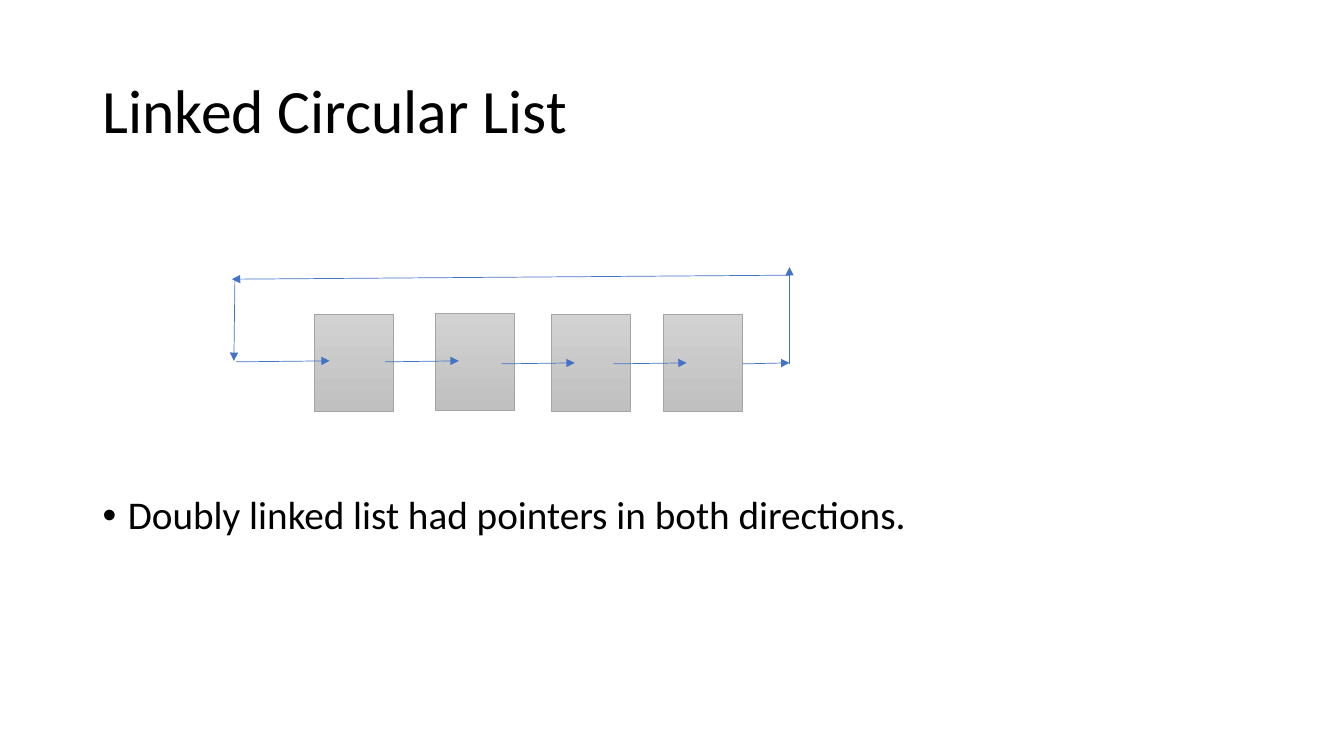
import dataclasses
import pptx
import pptx.util
import pptx.dml.color
import pptx.enum.shapes
import pptx.enum.text
import pptx.oxml.ns
from lxml import etree


@dataclasses.dataclass
class Theme:
    font: str = "Calibri"
    text: str = "000000"
    node_top: str = "D2D2D2"
    node_bottom: str = "C0C0C0"
    node_line: str = "A5A5A5"
    arrow: str = "4472C4"
    title_size: int = 44
    body_size: int = 28
    line_width: float = 0.5


theme = Theme()
rgb = pptx.dml.color.RGBColor.from_string
qn = pptx.oxml.ns.qn
prs = pptx.Presentation()
prs.slide_width = pptx.util.Inches(13.33)
prs.slide_height = pptx.util.Inches(7.5)
COL = prs.slide_width / 13.33
ROW = prs.slide_height / 7.5
s = prs.slides.add_slide(prs.slide_layouts[6])


def add_text(text, left, top, width, height, size, anchor="TOP", bullet=None, before=0):
    sp = s.shapes.add_textbox(int(left * COL), int(top * ROW), int(width * COL), int(height * ROW))
    tf = sp.text_frame
    tf.word_wrap = True
    tf.vertical_anchor = getattr(pptx.enum.text.MSO_ANCHOR, anchor)
    p = tf.paragraphs[0]
    p.line_spacing = 0.9
    p.space_before = pptx.util.Pt(before)
    if bullet:
        pPr = p._p.get_or_add_pPr()
        indent = pptx.util.Inches(0.25)
        pPr.set("marL", str(indent))
        pPr.set("indent", str(-indent))
        etree.SubElement(pPr, qn("a:buFont")).set("typeface", "Arial")
        etree.SubElement(pPr, qn("a:buChar")).set("char", bullet)
    r = p.add_run()
    r.text = text
    r.font.name = theme.font
    r.font.size = pptx.util.Pt(size)
    r.font.color.rgb = rgb(theme.text)


def add_arrow(x1, y1, x2, y2):
    cx = s.shapes.add_connector(
        pptx.enum.shapes.MSO_CONNECTOR.STRAIGHT,
        int(x1 * COL), int(y1 * ROW), int(x2 * COL), int(y2 * ROW))
    cx.line.color.rgb = rgb(theme.arrow)
    cx.line.width = pptx.util.Pt(theme.line_width)
    etree.SubElement(cx.line._get_or_add_ln(), qn("a:tailEnd")).set("type", "triangle")
    etree.SubElement(cx._element.spPr, qn("a:effectLst"))


add_text("Linked Circular List", 0.92, 0.4, 11.5, 1.45, theme.title_size, anchor="MIDDLE")
add_text("Doubly linked list had pointers in both directions.", 0.92, 4.87, 11.5, 4.76,
         theme.body_size, bullet="\u2022", before=10)

node_w, node_h = 0.78, 0.96
nodes = [(3.12, 3.12, None), (4.32, 3.11, 3.59), (5.47, 3.12, 3.61), (6.58, 3.12, 3.61)]
for left, top, link_y in nodes:
    sp = s.shapes.add_shape(
        pptx.enum.shapes.MSO_SHAPE.RECTANGLE,
        int(left * COL), int(top * ROW), int(node_w * COL), int(node_h * ROW))
    sp.shadow.inherit = False
    sp.fill.gradient()
    sp.fill.gradient_angle = 270
    for stop, color in zip(sp.fill.gradient_stops, (theme.node_top, theme.node_bottom)):
        stop.color.rgb = rgb(color)
    sp.line.color.rgb = rgb(theme.node_line)
    sp.line.width = pptx.util.Pt(theme.line_width)
    if link_y:
        add_arrow(left - 0.5, link_y, left + 0.23, link_y - 0.01)

loop = [
    (7.36, 3.61, 7.83, 3.6),
    (7.83, 3.61, 7.83, 2.65),
    (7.83, 2.73, 2.3, 2.77),
    (2.33, 2.78, 2.32, 3.58),
    (2.34, 3.59, 3.27, 3.58),
]
for ends in loop:
    add_arrow(*ends)

prs.save("out.pptx")
